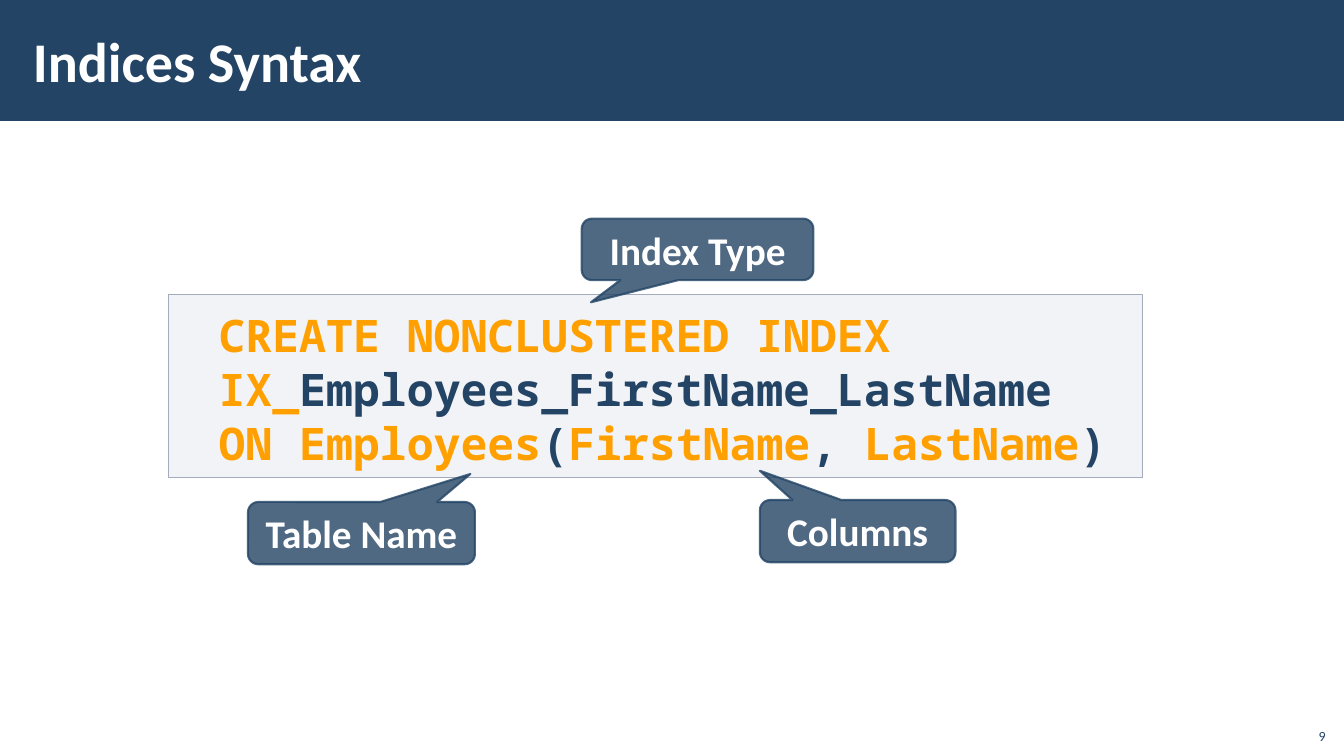
"""Build the slide that explains the syntax of a database index."""
import lxml.etree
import pptx
import pptx.dml.color
import pptx.enum.shapes
import pptx.enum.text
import pptx.oxml.ns
import pptx.util

Cm, Pt = pptx.util.Cm, pptx.util.Pt
RGBColor = pptx.dml.color.RGBColor
SHAPE = pptx.enum.shapes.MSO_SHAPE
ALIGN = pptx.enum.text.PP_ALIGN
ANCHOR = pptx.enum.text.MSO_ANCHOR

NAVY = RGBColor(0x23, 0x44, 0x65)
ORANGE = RGBColor(0xFF, 0xA0, 0x00)
WHITE = RGBColor(0xFF, 0xFF, 0xFF)
PANEL = RGBColor(0xC2, 0xC7, 0xD2)
PANEL_EDGE = RGBColor(0xA3, 0xAB, 0xBC)

TITLE_FONT = {"name": "Calibri", "size": Pt(40), "bold": True}
CALLOUT_FONT = {"name": "Calibri", "size": Pt(28), "bold": True}
CODE_FONT = {"name": "Noto Sans Mono", "size": Pt(32), "bold": True}
NUMBER_FONT = {"name": "Calibri", "size": Pt(10), "bold": False}

CODE = [
    [("CREATE NONCLUSTERED INDEX IX_", ORANGE), ("Employees_FirstName_LastName", NAVY)],
    [("ON Employees", ORANGE), ("(", NAVY), ("FirstName", ORANGE), (", ", NAVY),
     ("LastName", ORANGE), (")", NAVY)],
]
CALLOUTS = [
    ("Table Name", (6.25, 12.65, 5.72, 1.57), (0.48, -0.95)),
    ("Columns", (19.15, 12.6, 4.93, 1.57), (-0.5, -0.97)),
    ("Index Type", (14.66, 5.51, 5.84, 1.55), (-0.46, 0.86)),
]


def apply_format(target, values):
    """Set each attribute of the target from a dict of values."""
    for attribute, value in values.items():
        setattr(target, attribute, value)


def set_opacity(fill_format, percent):
    """Make a solid colour partly transparent."""
    colour = fill_format.fore_color._xFill.find(pptx.oxml.ns.qn("a:srgbClr"))
    alpha = lxml.etree.SubElement(colour, pptx.oxml.ns.qn("a:alpha"))
    alpha.set("val", str(percent * 1000))


def add_panel(slide, kind, box, colour, opacity=100, edge=None, edge_width=1):
    """Add a filled shape, with an outline if an edge colour is given."""
    panel = slide.shapes.add_shape(kind, *map(Cm, box))
    panel.shadow.inherit = False
    panel.fill.solid()
    panel.fill.fore_color.rgb = colour
    set_opacity(panel.fill, opacity)
    if edge is None:
        panel.line.fill.background()
    else:
        panel.line.color.rgb = edge
        panel.line.width = Pt(edge_width)
    return panel


def write_paragraph(paragraph, runs, font, align=ALIGN.LEFT):
    """Fill a paragraph with coloured runs in one font."""
    paragraph.alignment = align
    for words, colour in runs:
        run = paragraph.add_run()
        run.text = words
        apply_format(run.font, font)
        run.font.color.rgb = colour


def add_label(slide, words, box, font, colour, align, frame_format):
    """Add a one-line text box."""
    frame = slide.shapes.add_textbox(*map(Cm, box)).text_frame
    apply_format(frame, {"word_wrap": True, **frame_format})
    write_paragraph(frame.paragraphs[0], [(words, colour)], font, align)


def add_code(slide, box, lines):
    """Add the pale panel that holds the statement."""
    panel = add_panel(slide, SHAPE.RECTANGLE, box, PANEL, 20, PANEL_EDGE)
    frame = panel.text_frame
    apply_format(frame, {
        "word_wrap": True, "vertical_anchor": ANCHOR.TOP,
        "margin_left": Cm(1.27), "margin_right": 0,
        "margin_top": Cm(0.33), "margin_bottom": Cm(0.25),
    })
    for index, runs in enumerate(lines):
        paragraph = frame.add_paragraph() if index else frame.paragraphs[0]
        paragraph.line_spacing = Pt(38.6)
        write_paragraph(paragraph, runs, CODE_FONT)


def add_callout(slide, words, box, tip):
    """Add a speech bubble whose tip is given relative to its size."""
    bubble = add_panel(slide, SHAPE.ROUNDED_RECTANGULAR_CALLOUT, box, NAVY, 80, NAVY, 1.5)
    set_opacity(bubble.line.fill, 80)
    for index, offset in enumerate(tip):
        bubble.adjustments[index] = offset
    frame = bubble.text_frame
    apply_format(frame, {"word_wrap": True, "vertical_anchor": ANCHOR.MIDDLE})
    write_paragraph(frame.paragraphs[0], [(words, WHITE)], CALLOUT_FONT, ALIGN.CENTER)


def main():
    """Build and save the slide."""
    deck = pptx.Presentation()
    apply_format(deck, {"slide_width": Cm(33.87), "slide_height": Cm(19.05)})
    slide = deck.slides.add_slide(deck.slide_layouts[6])
    add_panel(slide, SHAPE.RECTANGLE, (0, 0, 33.87, 3.05), NAVY)
    add_code(slide, (4.24, 7.42, 24.56, 4.62), CODE)
    add_label(slide, "Indices Syntax", (0.53, 0.28, 27, 2.46), TITLE_FONT, WHITE, ALIGN.LEFT, {
        "vertical_anchor": ANCHOR.MIDDLE, "margin_left": Cm(0.3), "margin_right": Cm(0.3),
        "margin_top": Cm(0.1), "margin_bottom": Cm(0.1),
    })
    for words, box, tip in CALLOUTS:
        add_callout(slide, words, box, tip)
    add_label(slide, "9", (32.64, 18.08, 1.02, 0.81), NUMBER_FONT, NAVY, ALIGN.RIGHT,
              {"vertical_anchor": ANCHOR.BOTTOM})
    deck.save("out.pptx")


if __name__ == "__main__":
    main()
